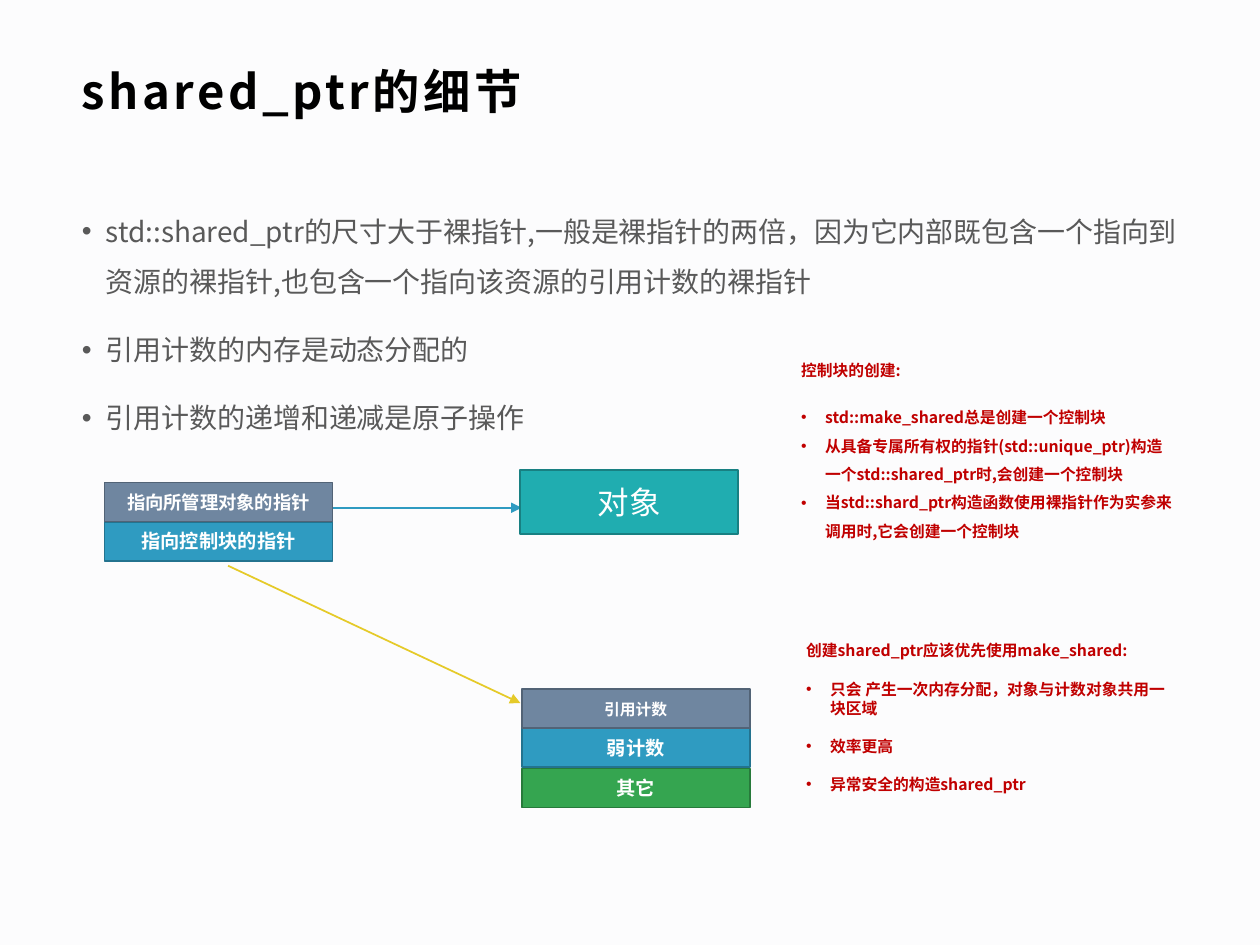
"""Build the slide on shared_ptr internals and its control block."""
import dataclasses

import pptx
import pptx.dml.color
import pptx.enum.shapes
import pptx.enum.text
import pptx.oxml.ns
import pptx.util
from lxml import etree

Inches = pptx.util.Inches
Pt = pptx.util.Pt
qn = pptx.oxml.ns.qn
rgb = pptx.dml.color.RGBColor.from_string
PP_ALIGN = pptx.enum.text.PP_ALIGN
MSO_ANCHOR = pptx.enum.text.MSO_ANCHOR


@dataclasses.dataclass(frozen=True)
class Theme:
    text_font: str = "Noto Sans CJK SC"
    block_font: str = "Arial"
    background: str = "FCFCFD"
    title: str = "000000"
    body: str = "595959"
    note: str = "C00000"
    white: str = "FFFFFF"
    slate: tuple = ("6F86A0", "526376")
    blue: tuple = ("2F9BC1", "23738F")
    teal: tuple = ("20ADB0", "188082")
    green: tuple = ("35A550", "277A3B")
    yellow: str = "E5CA29"
    title_size: float = 27
    body_size: float = 16
    object_size: float = 18
    block_size: float = 11
    pointer_size: float = 10.5
    note_size: float = 9


theme = Theme()


def style(paragraph, font_name, size, color, bold=False):
    paragraph.font.name = font_name
    paragraph.font.size = Pt(size)
    paragraph.font.bold = bold
    paragraph.font.color.rgb = rgb(color)


def add_bullet(paragraph):
    properties = paragraph._p.get_or_add_pPr()
    properties.set("marL", str(Inches(0.19)))
    properties.set("indent", str(-Inches(0.19)))
    etree.SubElement(properties, qn("a:buFont")).set("typeface", "Arial")
    etree.SubElement(properties, qn("a:buChar")).set("char", "•")


deck = pptx.Presentation()
deck.slide_width, deck.slide_height = Inches(10), Inches(7.5)
slide = deck.slides.add_slide(deck.slide_layouts[1])
slide.background.fill.solid()
slide.background.fill.fore_color.rgb = rgb(theme.background)

title = slide.shapes.title
title.left, title.top, title.width, title.height = map(Inches, (0.55, 0.48, 8.9, 0.48))
title.text_frame.text = "shared_ptr的细节"
title.text_frame.auto_size = pptx.enum.text.MSO_AUTO_SIZE.NONE
title.text_frame.vertical_anchor = MSO_ANCHOR.MIDDLE
heading = title.text_frame.paragraphs[0]
heading.alignment = PP_ALIGN.LEFT
style(heading, theme.text_font, theme.title_size, theme.title, True)
heading.runs[0]._r.get_or_add_rPr().set("spc", "200")

details = slide.placeholders[1]
details.left, details.top, details.width, details.height = map(Inches, (0.55, 1.52, 8.9, 5.41))
details.text_frame.auto_size = pptx.enum.text.MSO_AUTO_SIZE.NONE
details.text_frame.text = "\n".join([
    "std::shared_ptr的尺寸大于裸指针,一般是裸指针的两倍，因为它内部既包含一个指向到资源的裸指针,也包含一个指向该资源的引用计数的裸指针",
    "引用计数的内存是动态分配的",
    "引用计数的递增和递减是原子操作",
])
for detail in details.text_frame.paragraphs:
    add_bullet(detail)
    detail.line_spacing = 1.5
    detail.space_before, detail.space_after = Pt(0), Pt(10)
    style(detail, theme.text_font, theme.body_size, theme.body)

arrows = [
    (1.81, 4.49, 4.13, 5.58, theme.yellow),
    (2.64, 4.03, 4.14, 4.03, theme.blue[0]),
]
for x1, y1, x2, y2, color in arrows:
    arrow = slide.shapes.add_connector(
        pptx.enum.shapes.MSO_CONNECTOR.STRAIGHT, *map(Inches, (x1, y1, x2, y2)))
    arrow.line.color.rgb = rgb(color)
    arrow.line.width = Pt(1)
    etree.SubElement(arrow.line._get_or_add_ln(), qn("a:tailEnd")).set("type", "triangle")
    etree.SubElement(arrow._element.spPr, qn("a:effectLst"))

blocks = [
    ("其它", 4.14, 6.1, 1.81, 0.31, theme.green, theme.block_size, True),
    ("弱计数", 4.14, 5.78, 1.81, 0.31, theme.blue, theme.block_size, True),
    ("对象", 4.13, 3.73, 1.73, 0.51, theme.teal, theme.object_size, False),
    ("引用计数", 4.14, 5.47, 1.81, 0.31, theme.slate, theme.note_size, True),
    ("指向控制块的指针", 0.83, 4.14, 1.81, 0.31, theme.blue, theme.block_size, True),
    ("指向所管理对象的指针", 0.83, 3.83, 1.81, 0.31, theme.slate, theme.pointer_size, True),
]
for label, left, top, width, height, (fill, edge), size, bold in blocks:
    block = slide.shapes.add_shape(
        pptx.enum.shapes.MSO_SHAPE.RECTANGLE, *map(Inches, (left, top, width, height)))
    block.shadow.inherit = False
    block.fill.solid()
    block.fill.fore_color.rgb = rgb(fill)
    block.line.color.rgb = rgb(edge)
    block.line.width = Pt(1)
    block.text_frame.text = label
    block.text_frame.vertical_anchor = MSO_ANCHOR.MIDDLE
    caption = block.text_frame.paragraphs[0]
    caption.alignment = PP_ALIGN.CENTER
    style(caption, theme.block_font, size, theme.white, bold)

notes = [
    (6.26, 2.81, 2.15, 1.5, 0, [
        "控制块的创建:",
        "std::make_shared总是创建一个控制块",
        "从具备专属所有权的指针(std::unique_ptr)构造一个std::shared_ptr时,会创建一个控制块",
        "当std::shard_ptr构造函数使用裸指针作为实参来调用时,它会创建一个控制块",
    ]),
    (6.3, 5.04, 2.07, 1, 11, [
        "创建shared_ptr应该优先使用make_shared:",
        "只会 产生一次内存分配，对象与计数对象共用一块区域",
        "效率更高",
        "异常安全的构造shared_ptr",
    ]),
]
for left, top, height, spacing, gap, lines in notes:
    note = slide.shapes.add_textbox(*map(Inches, (left, top, 3.15, height)))
    note.text_frame.word_wrap = True
    note.text_frame.text = "\n".join(lines)
    lead, *points = note.text_frame.paragraphs
    lead.space_after = Pt(11)
    for point in points:
        add_bullet(point)
        point.line_spacing = spacing
        point.space_after = Pt(gap)
    for paragraph in (lead, *points):
        style(paragraph, theme.text_font, theme.note_size, theme.note, True)

deck.save("out.pptx")
